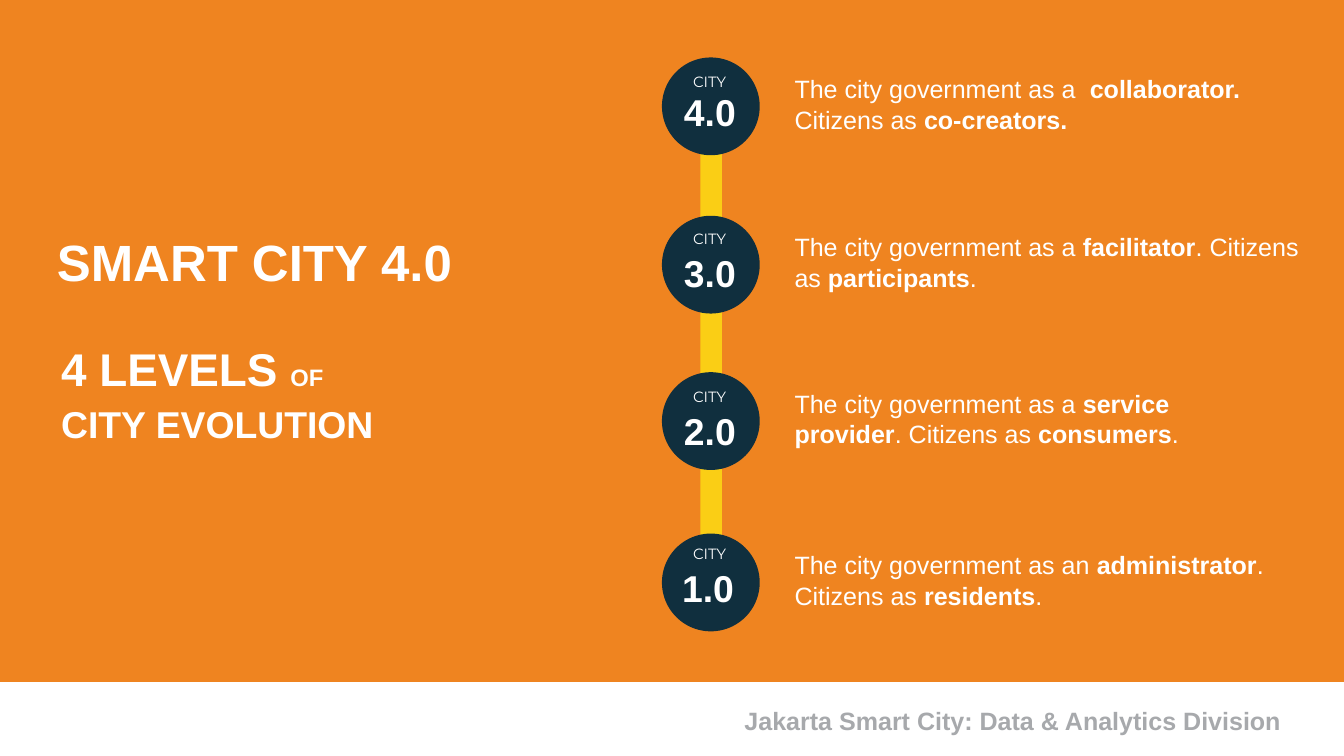
from collections import namedtuple
from dataclasses import dataclass

from pptx import Presentation
from pptx.dml.color import RGBColor
from pptx.enum.shapes import MSO_SHAPE as Preset
from pptx.util import Pt


@dataclass(frozen=True)
class Theme:
    orange: str = "EF8420"
    yellow: str = "FACE15"
    navy: str = "102F3E"
    white: str = "FFFFFF"
    grey: str = "A7A9AC"
    sans: str = "Arial"
    label_font: str = "Montserrat"
    title: float = 60
    heading: float = 54
    subheading: float = 44
    number: float = 44
    body: float = 29.5
    small: float = 28
    label: float = 17.5


THEME = Theme()
SLIDE_WIDTH, SLIDE_HEIGHT = 1583.28, 890.64
CIRCLE_LEFT, CIRCLE_SIZE = 779.8, 115.2

Level = namedtuple(
    "Level", "number circle_top label_top number_left number_top width role")
LEVELS = [
    Level("4.0", 67.7, 86.4, 805.7, 97.9, 581.8,
          "The city government as a  *collaborator. *Citizens as *co-creators.*"),
    Level("3.0", 254.2, 272.2, 805.7, 286.6, 594,
          "The city government as a *facilitator*. Citizens as *participants*."),
    Level("2.0", 438.5, 458.6, 805.7, 473, 545.8,
          "The city government as a *service provider*. Citizens as *consumers*."),
    Level("1.0", 628.6, 643, 803.5, 658.1, 619.2,
          "The city government as an *administrator*. Citizens as *residents*."),
]


def span(text, size, bold=True, color=THEME.white, name=THEME.sans):
    return text, {"size": Pt(size), "bold": bold, "name": name}, color


def marked_spans(text, size):
    """Turn text with *bold* marks into spans."""
    return [span(part, size, bold=index % 2 == 1)
            for index, part in enumerate(text.split("*")) if part]


def add_filled(page, preset, left, top, width, height, color):
    shape = page.shapes.add_shape(preset, Pt(left), Pt(top), Pt(width), Pt(height))
    shape.shadow.inherit = False
    shape.fill.solid()
    shape.fill.fore_color.rgb = RGBColor.from_string(color)
    shape.line.fill.background()


def add_text(page, left, top, width, height, paragraphs, spacing=1.0, inset=0.7):
    """Add a text box; each paragraph is a list of spans."""
    box = page.shapes.add_textbox(Pt(left), Pt(top), Pt(width), Pt(height))
    frame = box.text_frame
    frame_format = {"word_wrap": True, "margin_left": 0, "margin_right": 0,
                    "margin_top": Pt(inset), "margin_bottom": 0}
    for key, value in frame_format.items():
        setattr(frame, key, value)
    for index, spans in enumerate(paragraphs):
        para = frame.add_paragraph() if index else frame.paragraphs[0]
        para.line_spacing = spacing
        for text, font_format, color in spans:
            run = para.add_run()
            run.text = text
            for key, value in font_format.items():
                setattr(run.font, key, value)
            run.font.color.rgb = RGBColor.from_string(color)


def add_level(page, level):
    add_filled(page, Preset.OVAL, CIRCLE_LEFT, level.circle_top,
               CIRCLE_SIZE, CIRCLE_SIZE, THEME.navy)
    add_text(page, 816.5, level.label_top, 66, 16.6,
             [[span("CITY", THEME.label, bold=False, name=THEME.label_font)]],
             spacing=0.88, inset=1.4)
    add_text(page, level.number_left, level.number_top, 77.8, 56.9,
             [[span(level.number, THEME.number)]], spacing=1.13)
    add_text(page, 936, level.circle_top + 18, level.width, 73.4,
             [marked_spans(level.role, THEME.body)], spacing=1.01)


def main():
    deck = Presentation()
    deck.slide_width, deck.slide_height = Pt(SLIDE_WIDTH), Pt(SLIDE_HEIGHT)
    page = deck.slides.add_slide(deck.slide_layouts[6])

    add_filled(page, Preset.RECTANGLE, 0, 0, SLIDE_WIDTH, 803.5, THEME.orange)
    add_text(page, 67, 270, 648.7, 80.6,
             [[span("SMART CITY 4.0", THEME.title)]], inset=1.4)
    add_text(page, 72, 392.4, 504.7, 149,
             [[span("4 LEVELS ", THEME.heading), span("OF", THEME.small)],
              [span("CITY EVOLUTION", THEME.subheading)]], spacing=1.13)

    add_filled(page, Preset.RECTANGLE, 825.1, 72.7, 25.2, 667.4, THEME.yellow)
    for level in LEVELS:
        add_level(page, level)

    add_text(page, 877, 828, 706, 61.9,
             [[span("Jakarta Smart City: Data & Analytics Division",
                    THEME.body, color=THEME.grey)]], spacing=1.1, inset=0)
    deck.save("out.pptx")


if __name__ == "__main__":
    main()
